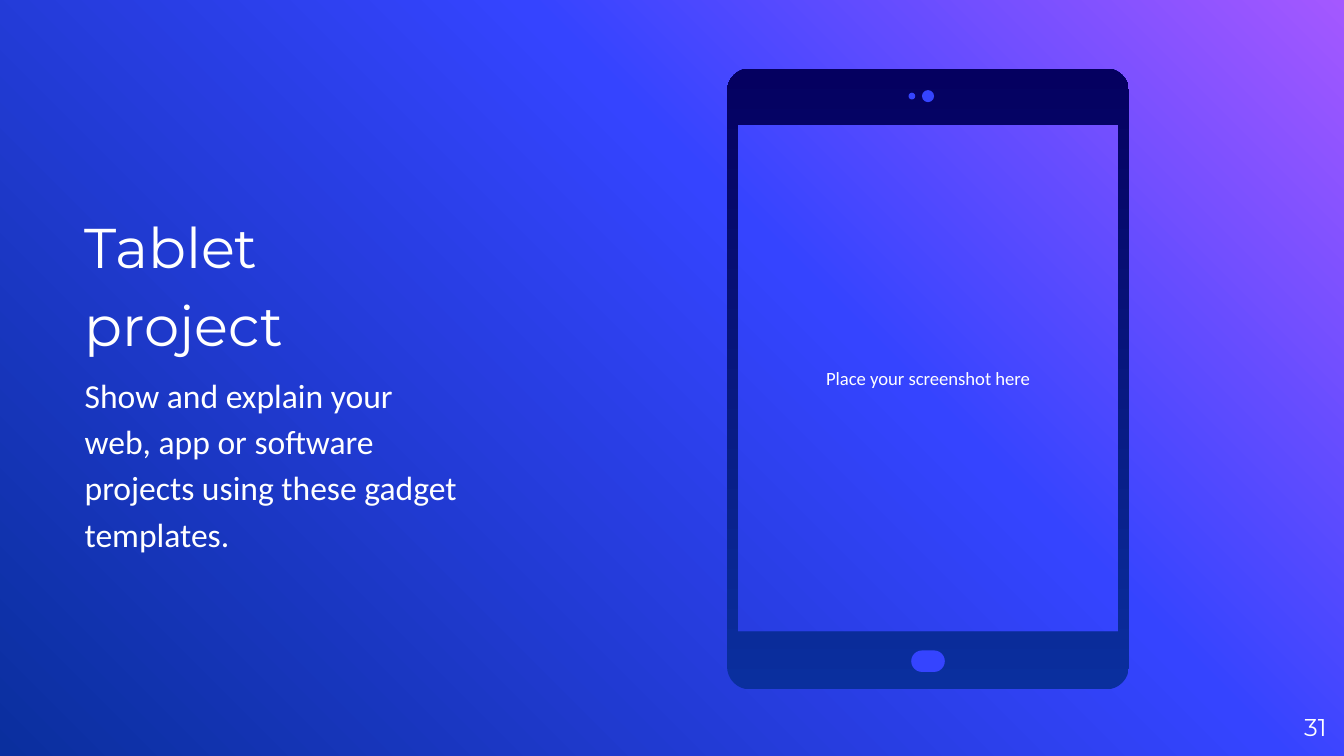
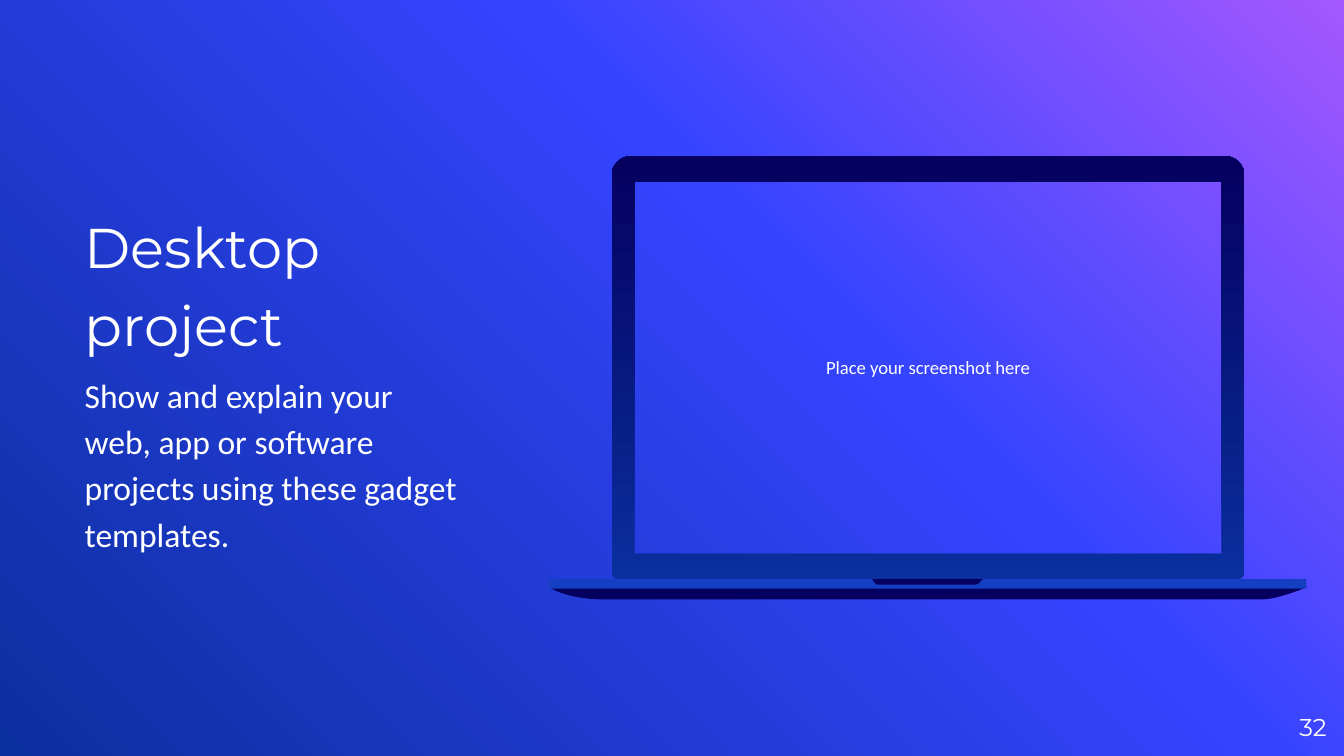
from collections import namedtuple
from copy import deepcopy
from math import cos, radians, sin

from pptx import Presentation
from pptx.dml.color import RGBColor
from pptx.enum.shapes import MSO_SHAPE as Preset
from pptx.enum.text import MSO_ANCHOR as Anchor, PP_ALIGN as Align
from pptx.oxml.ns import qn
from pptx.util import Inches, Pt

WHITE = RGBColor(0xFF, 0xFF, 0xFF)
VIOLET = RGBColor(0xA4, 0x58, 0xFF)
ELECTRIC = RGBColor(0x35, 0x44, 0xFF)
COBALT = RGBColor(0x0A, 0x2F, 0x9E)
ROYAL = RGBColor(0x14, 0x3F, 0xC2)
MIDNIGHT = RGBColor(0x05, 0x00, 0x60)

BACKDROP = ((0, VIOLET), (0.39, ELECTRIC), (1, COBALT))
BEZEL = ((0, COBALT), (1, MIDNIGHT))

HEADING = {"name": "Montserrat", "size": Pt(30)}
BODY = {"name": "Calibri", "size": Pt(18)}
PROMPT = {"name": "Calibri", "size": Pt(10)}
PAGE_NUMBER = {"name": "Montserrat", "size": Pt(13)}
COPY_SPACING = {"line_spacing": 1.15, "space_before": Pt(6)}

PAGE_SIZE = {"slide_width": Inches(10), "slide_height": Inches(10 * 9 / 16)}

Box = namedtuple("Box", "left top width height")
COPY = Box(0.63, 0.86, 2.78, 3.91)
NUMBER = Box(9.27, 5.19, 0.6, 0.43)
TABLET = Box(5.41, 0.51, 2.99, 4.62)
LAPTOP = Box(4.09, 1.16, 5.63, 3.3)

EXPLANATION = ("Show and explain your web, app or software "
               "projects using these gadget templates.")


def inside(box, left, top, width, height):
    """Return a box given by its offset from the corner of another."""
    return Box(box.left + left, box.top + top, width, height)


def apply_format(target, values):
    """Set each named value on the target."""
    for name, value in values.items():
        setattr(target, name, value)


def paint_gradient(owner, fill, stops, angle):
    """Fill with a linear gradient of any number of stops."""
    fill.gradient()
    fill.gradient_angle = angle
    last = list(owner.iter(qn("a:gs")))[-1]
    for _ in stops[2:]:
        last.addnext(deepcopy(last))
    for stop, (position, color) in zip(fill.gradient_stops, stops):
        stop.position = position
        stop.color.rgb = color


def paint_solid(part, color):
    """Give a part a flat fill without line or shadow."""
    part.fill.solid()
    part.fill.fore_color.rgb = color
    part.line.fill.background()
    part.shadow.inherit = False


def add_text(slide, box, paragraphs, margin=0, **layout):
    """Write paragraphs, each a tuple of lines and a font format."""
    area = slide.shapes.add_textbox(*map(Inches, box))
    frame = area.text_frame
    margins = {f"margin_{side}": Inches(margin)
               for side in ("left", "top", "right", "bottom")}
    apply_format(frame, {"word_wrap": True,
                         "vertical_anchor": Anchor.MIDDLE, **margins})
    for index, (lines, font) in enumerate(paragraphs):
        paragraph = frame.add_paragraph() if index else frame.paragraphs[0]
        apply_format(paragraph, layout)
        for number, line in enumerate(lines):
            if number:
                paragraph.add_line_break()
            run = paragraph.add_run()
            run.text = line
            apply_format(run.font, font)
            run.font.color.rgb = WHITE


def add_outline(parts, *contours):
    """Draw closed contours, given in inches, as one shape."""
    scaled = [[(Inches(x), Inches(y)) for x, y in contour]
              for contour in contours]
    builder = parts.build_freeform(*scaled[0][0])
    builder.add_line_segments(scaled[0][1:], close=True)
    for contour in scaled[1:]:
        builder.move_to(*contour[0])
        builder.add_line_segments(contour[1:], close=True)
    outline = builder.convert_to_shape()
    paint_solid(outline, MIDNIGHT)
    return outline


def rounded_contour(box, top_radius=0, bottom_radius=0, steps=8):
    """List clockwise points of a box with rounded corners."""
    points = []
    corners = ((0, 0, top_radius), (1, 0, top_radius),
               (1, 1, bottom_radius), (0, 1, bottom_radius))
    for index, (across, down, radius) in enumerate(corners):
        x = box.left + across * box.width + (1 - 2 * across) * radius
        y = box.top + down * box.height + (1 - 2 * down) * radius
        for step in range(steps + 1 if radius else 1):
            angle = radians(180 + 90 * (index + step / steps))
            points.append((x + radius * cos(angle), y + radius * sin(angle)))
    return points


def bowl_contour(box, left_curve, right_curve, steps=12):
    """List points of a box whose lower corners curve up to its top edge."""
    def side(edge, direction, curve):
        run, grip = curve
        for step in range(steps + 1):
            t = step / steps
            reach = 3 * (1 - t) * t ** 2 * grip + t ** 3 * run
            drop = (3 - 2 * t) * t ** 2 * box.height
            yield edge + direction * reach, box.top + drop

    right = list(side(box.left + box.width, -1, right_curve))
    return [*side(box.left, 1, left_curve), *reversed(right)]


def add_bezel(parts, body, screen, top_radius, bottom_radius):
    """Draw a device body with its screen cut out."""
    bezel = add_outline(parts, rounded_contour(screen),
                        rounded_contour(body, top_radius, bottom_radius))
    paint_gradient(bezel._element, bezel.fill, BEZEL, 90)


def add_prompt(slide, screen):
    """Write the screenshot prompt in the middle of a screen."""
    add_text(slide, screen, [(("Place your screenshot here",), PROMPT)],
             margin=0.1, alignment=Align.CENTER)


def draw_tablet(slide, box):
    """Draw the tablet with home button and cameras."""
    screen = inside(box, 0.08, 0.42, 2.83, 3.77)
    add_prompt(slide, screen)
    parts = slide.shapes.add_group_shape().shapes
    add_bezel(parts, box, screen, 0.17, 0.17)
    details = (
        (Preset.ROUNDED_RECTANGLE, (1.37, 4.33, 0.25, 0.16)),
        (Preset.OVAL, (1.35, 0.18, 0.05, 0.05)),
        (Preset.OVAL, (1.45, 0.16, 0.09, 0.09)),
    )
    for preset, place in details:
        detail = parts.add_shape(preset, *map(Inches, inside(box, *place)))
        paint_solid(detail, ELECTRIC)
        if preset == Preset.ROUNDED_RECTANGLE:
            detail.adjustments[0] = 0.5


def draw_laptop(slide, box):
    """Draw the laptop lid above its base."""
    screen = inside(box, 0.63, 0.19, 4.37, 2.77)
    add_prompt(slide, screen)
    parts = slide.shapes.add_group_shape().shapes
    add_bezel(parts, inside(box, 0.46, 0, 4.71, 3.15), screen, 0.15, 0.05)
    underside = inside(box, 0, 3.21, box.width, 0.09)
    add_outline(parts, bowl_contour(underside, (0.41, 0.12), (0.33, 0.21)))
    deck = inside(box, 0, 3.15, box.width, 0.07)
    paint_solid(parts.add_shape(Preset.RECTANGLE, *map(Inches, deck)), ROYAL)
    notch = inside(box, 2.4, 3.15, 0.82, 0.04)
    add_outline(parts, bowl_contour(notch, (0.04, 0.02), (0.05, 0.03)))


def add_project_slide(deck, heading, number, draw_device, device_box):
    """Add a slide with project copy on the left and a device on the right."""
    slide = deck.slides.add_slide(deck.slide_layouts[6])
    paint_gradient(slide._element, slide.background.fill, BACKDROP, 225)
    draw_device(slide, device_box)
    add_text(slide, COPY, [(heading, HEADING), ((EXPLANATION,), BODY)],
             **COPY_SPACING)
    add_text(slide, NUMBER, [((str(number),), PAGE_NUMBER)],
             alignment=Align.RIGHT)


def main():
    """Build and save the gadget slides."""
    deck = Presentation()
    apply_format(deck, PAGE_SIZE)
    add_project_slide(deck, ("Tablet", "project"), 31, draw_tablet, TABLET)
    add_project_slide(deck, ("Desktop project",), 32, draw_laptop, LAPTOP)
    deck.save("out.pptx")


if __name__ == "__main__":
    main()
